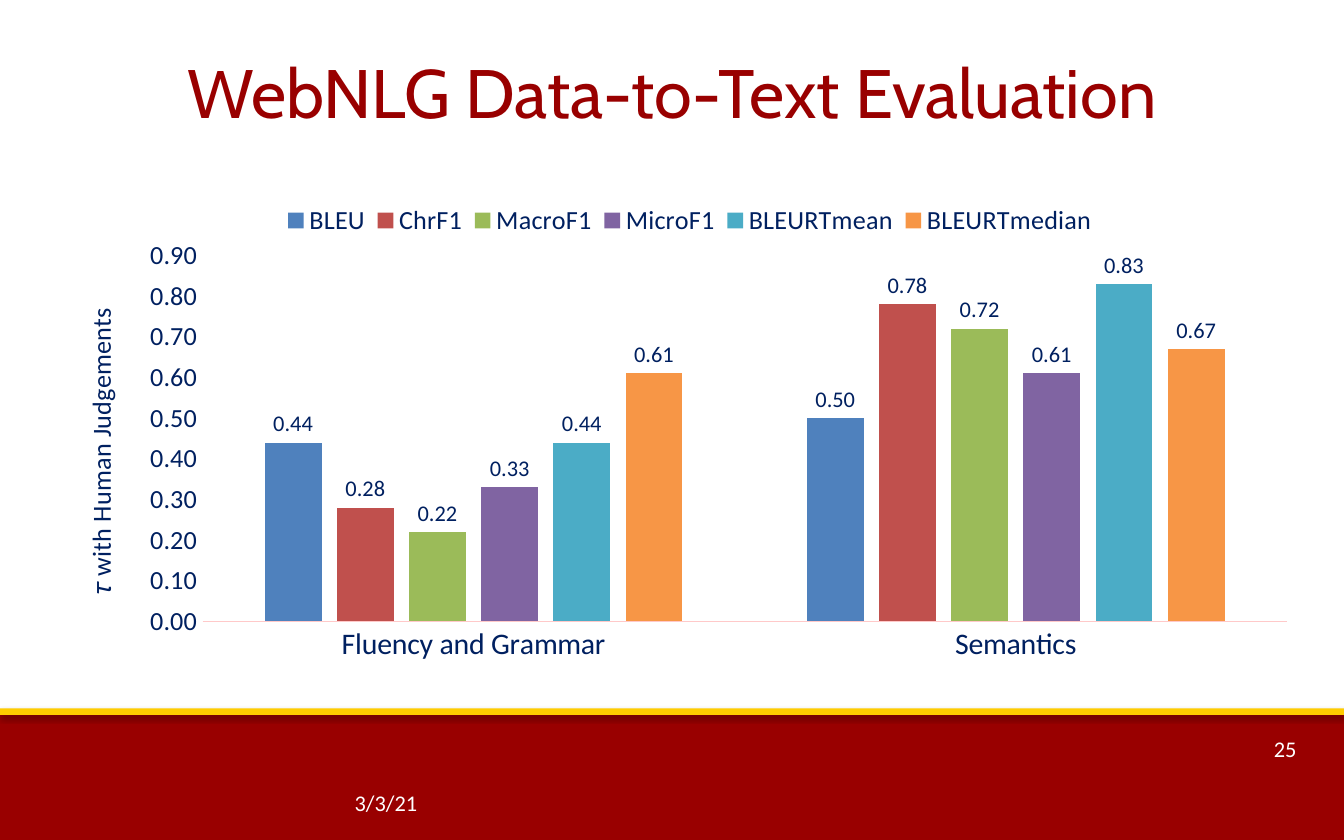
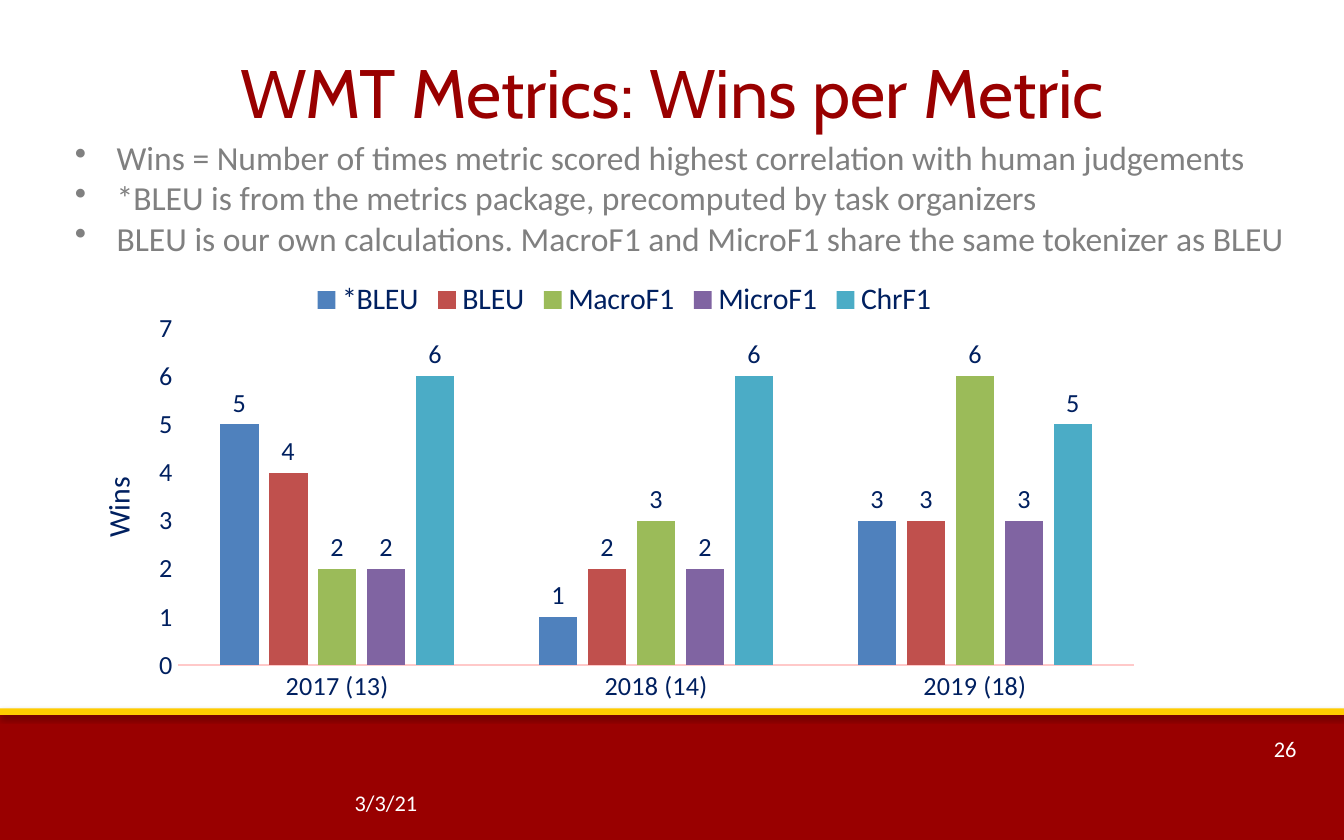
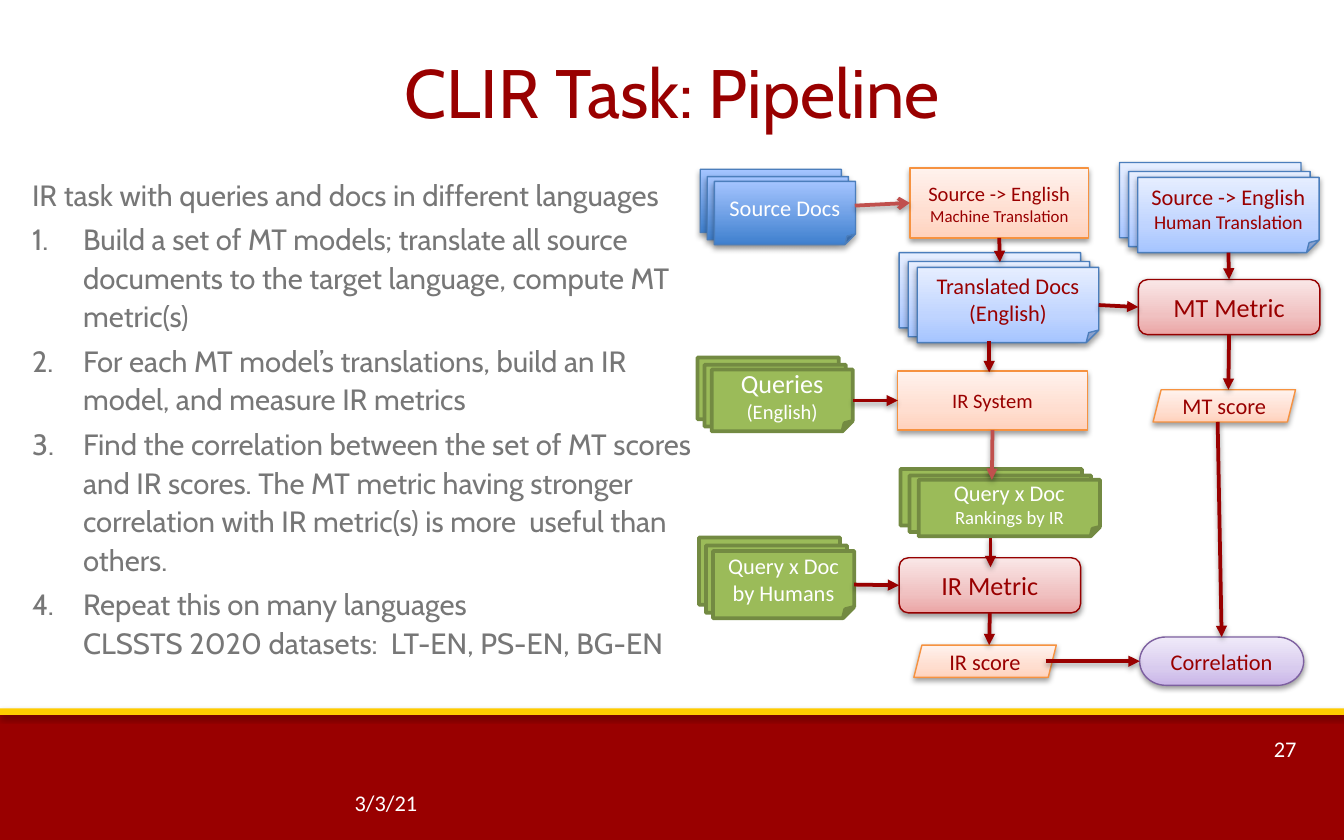
import dataclasses

import lxml.etree
import pptx
import pptx.chart.data
import pptx.dml.color
import pptx.enum.chart
import pptx.enum.shapes
import pptx.enum.text
import pptx.oxml
import pptx.oxml.ns
import pptx.util

Inches = pptx.util.Inches
Pt = pptx.util.Pt
qn = pptx.oxml.ns.qn
SHAPE = pptx.enum.shapes.MSO_SHAPE
LEGEND = pptx.enum.chart.XL_LEGEND_POSITION
ALIGN = pptx.enum.text.PP_ALIGN
TOP, LEFT, BOTTOM, RIGHT = range(4)


# Theme
@dataclasses.dataclass(frozen=True)
class Theme:
    title_font: str = "Cabin"
    text_font: str = "Calibri"
    red: str = "990000"
    gold: str = "FFCC00"
    white: str = "FFFFFF"
    navy: str = "002060"
    gray: str = "808080"
    body_gray: str = "777777"
    axis_line: str = "FFC9C9"
    soft_red: str = "C0504D"
    series: tuple = ("4F81BD", "C0504D", "9BBB59", "8064A2", "4BACC6", "F79646")
    title_size: float = 36.7
    body_size: float = 15.7
    bullet_size: float = 18
    label_size: float = 12
    arrow_width: float = 2
    strong_shadow: tuple = (35, 1.8)  # opacity in percent, distance in points
    soft_shadow: tuple = (38, 1.6)


@dataclasses.dataclass(frozen=True)
class BoxStyle:
    fill: tuple  # (position in percent, colour) stops, from the bottom up
    line: str
    text: str = Theme.red
    line_width: float = 0.75
    shadow: tuple = Theme.soft_shadow


SOURCE = BoxStyle(((0, "3F80CE"), (100, "A4C4FF")), "4B7EBC", Theme.white, shadow=Theme.strong_shadow)
TRANSLATION = BoxStyle(((0, "A4C4FF"), (35, "BFD4FF"), (100, "E6EEFF")), "4B7EBC")
QUERY = BoxStyle(((0, "9BBB59"),), "738A42", Theme.white, 2, None)
SYSTEM = BoxStyle(((0, "FFD2BD"), (35, "FFDED0"), (100, "FFF2ED")), "F69240")
METRIC = BoxStyle(((0, "EBA5A5"), (35, "F0C1C1"), (100, "FAE7E7")), "960000")
RESULT = BoxStyle(((0, "C9B5E8"), (35, "D8CBEE"), (100, "F0EAF9")), "7D60A0")


def rgb(color):
    return pptx.dml.color.RGBColor.from_string(color)


def add_xml(parent, tag, **attributes):
    child = lxml.etree.SubElement(parent, qn(tag))
    for name, value in attributes.items():
        child.set(name, str(value))
    return child


def manual_layout(x, y, width, height, inner=False):
    layout = pptx.oxml.parse_xml(f'<c:layout {pptx.oxml.ns.nsdecls("c")}/>')
    manual = add_xml(layout, "c:manualLayout")
    if inner:
        add_xml(manual, "c:layoutTarget", val="inner")
    for tag, value in (("xMode", "edge"), ("yMode", "edge"), ("x", x), ("y", y), ("w", width), ("h", height)):
        add_xml(manual, f"c:{tag}", val=value)
    return layout


class Deck:
    def __init__(self, theme):
        self.theme = theme
        self.presentation = pptx.Presentation()
        self.presentation.slide_width = Inches(10)
        self.presentation.slide_height = Inches(6.25)
        self.slide = None

    # Style helpers
    def set_font(self, font, size, color, name=None):
        font.size = Pt(size)
        font.name = name or self.theme.text_font
        font.bold = False
        font.color.rgb = rgb(color)

    def set_shadow(self, properties, shadow):
        effects = properties.find(qn("a:effectLst"))
        if effects is None:
            effects = add_xml(properties, "a:effectLst")
        if shadow:
            opacity, distance = shadow
            outer = add_xml(effects, "a:outerShdw", blurRad=Pt(3.1), dist=Pt(distance),
                            dir=90 * 60000, rotWithShape=0)
            color = add_xml(outer, "a:srgbClr", val="000000")
            add_xml(color, "a:alpha", val=opacity * 1000)

    def set_fill(self, fill, stops):
        if len(stops) == 1:
            fill.solid()
            fill.fore_color.rgb = rgb(stops[0][1])
            return None
        fill.gradient()
        fill.gradient_angle = 90
        return stops

    # Slide frame
    def new_slide(self, title, number):
        theme = self.theme
        self.slide = self.presentation.slides.add_slide(self.presentation.slide_layouts[6])
        self.band(5.29, 0.96, theme.red, theme.strong_shadow)
        self.band(5.27, 0.05, theme.gold, theme.soft_shadow)
        for left, top, width, text in ((9.38, 5.42, 0.4, str(number)), (2.54, 5.82, 0.68, "3/3/21")):
            self.text(left, top, width, 0.3, [text], theme.label_size, theme.white, wrap=False)
        frame = self.text(0.69, 0.31, 8.62, 0.86, [title], theme.title_size, theme.red, theme.title_font)
        frame.margin_top = Inches(0.06)
        frame.paragraphs[0].alignment = ALIGN.CENTER

    def band(self, top, height, color, shadow):
        shape = self.slide.shapes.add_shape(SHAPE.RECTANGLE, 0, Inches(top), Inches(10), Inches(height))
        shape.shadow.inherit = False
        self.set_fill(shape.fill, ((0, color),))
        shape.line.fill.background()
        self.set_shadow(shape.element.spPr, shadow)

    # Text
    def text(self, left, top, width, height, lines, size, color, name=None, wrap=True):
        box = self.slide.shapes.add_textbox(Inches(left), Inches(top), Inches(width), Inches(height))
        frame = box.text_frame
        frame.word_wrap = wrap
        for index, line in enumerate(lines):
            paragraph = frame.paragraphs[0] if index == 0 else frame.add_paragraph()
            paragraph.text = line
            self.set_font(paragraph.font, size, color, name)
        return frame

    def mark(self, paragraph, indent, tag, **attributes):
        properties = paragraph._p.get_or_add_pPr()
        properties.set("marL", str(Inches(indent)))
        properties.set("indent", str(-Inches(indent)))
        marker = pptx.oxml.parse_xml(f'<{tag} {pptx.oxml.ns.nsdecls("a")}/>')
        for name, value in attributes.items():
            marker.set(name, value)
        properties.find(qn("a:defRPr")).addprevious(marker)

    # Diagram
    def box(self, kind, left, top, width, height, style, *lines):
        shape = self.slide.shapes.add_shape(kind, Inches(left), Inches(top), Inches(width), Inches(height))
        shape.shadow.inherit = False
        stops = self.set_fill(shape.fill, style.fill)
        if stops:
            stop_list = shape.element.spPr.find(qn("a:gradFill")).find(qn("a:gsLst"))
            stop_list.clear()
            for position, color in stops:
                stop = add_xml(stop_list, "a:gs", pos=position * 1000)
                add_xml(stop, "a:srgbClr", val=color)
        shape.line.color.rgb = rgb(style.line)
        shape.line.width = Pt(style.line_width)
        self.set_shadow(shape.element.spPr, style.shadow)
        frame = shape.text_frame
        frame.word_wrap = True
        frame.margin_left = frame.margin_right = Inches(0.05)
        frame.vertical_anchor = pptx.enum.text.MSO_ANCHOR.MIDDLE
        for index, (line, size) in enumerate(lines):
            paragraph = frame.paragraphs[0] if index == 0 else frame.add_paragraph()
            paragraph.text = line
            paragraph.alignment = ALIGN.CENTER
            self.set_font(paragraph.font, size, style.text)
        return shape

    def stack(self, left, top, width, height, depth, style, *lines):
        """Three sheets, the front one lettered and returned."""
        for step, drop in enumerate((0, 0.6, 1)):
            front = self.box(SHAPE.FOLDED_CORNER, left + step * width / 20, top + drop * depth,
                             width, height, style, *(lines if step == 2 else ()))
        return front

    def arrow(self, start, end, color=None, head="triangle"):
        """Each end is a point (x, y) or a joint (shape, side)."""
        points = [(0, 0) if hasattr(place[0], "shape_id") else place for place in (start, end)]
        connector = self.slide.shapes.add_connector(
            pptx.enum.shapes.MSO_CONNECTOR.STRAIGHT,
            *(Inches(value) for point in points for value in point))
        for place, connect in ((start, connector.begin_connect), (end, connector.end_connect)):
            if hasattr(place[0], "shape_id"):
                connect(*place)
        connector.line.color.rgb = rgb(color or self.theme.red)
        connector.line.width = Pt(self.theme.arrow_width)
        properties = connector._element.spPr
        add_xml(properties.find(qn("a:ln")), "a:tailEnd", type=head)
        self.set_shadow(properties, self.theme.soft_shadow)

    # Charts
    def column_chart(self, place, categories, series, axis_title, title_size, category_size,
                     legend_size, label_size, maximum, unit, number_format, plot_area,
                     legend_position, legend_area=None):
        theme = self.theme
        data = pptx.chart.data.CategoryChartData(number_format=number_format)
        data.categories = categories
        for name, values in series.items():
            data.add_series(name, values)
        chart = self.slide.shapes.add_chart(
            pptx.enum.chart.XL_CHART_TYPE.COLUMN_CLUSTERED, *(Inches(value) for value in place), data).chart
        self.set_font(chart.font, label_size, theme.navy)
        chart.has_title = False

        plot = chart.plots[0]
        plot.vary_by_categories = False
        plot.gap_width = 219
        plot.overlap = -27
        for one_series, color in zip(plot.series, theme.series):
            one_series.format.fill.solid()
            one_series.format.fill.fore_color.rgb = rgb(color)
            labels = one_series.data_labels
            labels.show_value = True
            labels.position = pptx.enum.chart.XL_LABEL_POSITION.OUTSIDE_END
            labels.number_format = number_format
            labels.number_format_is_linked = False
            self.set_font(labels.font, label_size, theme.navy)

        for axis, size in ((chart.category_axis, category_size), (chart.value_axis, 14)):
            axis.has_major_gridlines = False
            axis.major_tick_mark = axis.minor_tick_mark = pptx.enum.chart.XL_TICK_MARK.NONE
            self.set_font(axis.tick_labels.font, size, theme.navy)
        chart.category_axis.format.line.color.rgb = rgb(theme.axis_line)
        chart.category_axis.format.line.width = Pt(0.75)
        value_axis = chart.value_axis
        value_axis.format.line.fill.background()
        value_axis.minimum_scale = 0
        value_axis.maximum_scale = maximum
        value_axis.major_unit = unit
        value_axis.tick_labels.number_format = number_format
        value_axis.tick_labels.number_format_is_linked = False
        frame = value_axis.axis_title.text_frame
        frame.text = axis_title
        self.set_font(frame.paragraphs[0].font, title_size, theme.navy)
        body = frame._txBody.find(qn("a:bodyPr"))
        body.set("rot", "-5400000")
        body.set("vert", "horz")

        chart.has_legend = True
        chart.legend.position = legend_position
        chart.legend.include_in_layout = False
        self.set_font(chart.legend.font, legend_size, theme.navy)
        if legend_area:
            legend = chart.legend._element
            for layout in legend.findall(qn("c:layout")):
                legend.remove(layout)
            legend.find(qn("c:legendPos")).addnext(manual_layout(*legend_area))
        plot_element = chart._chartSpace.chart.plotArea
        for layout in plot_element.findall(qn("c:layout")):
            plot_element.remove(layout)
        plot_element.insert(0, manual_layout(*plot_area, inner=True))


def webnlg_slide(deck):
    deck.new_slide("WebNLG Data-to-Text Evaluation", 25)
    deck.column_chart(
        (0.51, 1.38, 9.07, 3.73), ["Fluency and Grammar", "Semantics"],
        {"BLEU": (0.44, 0.5), "ChrF1": (0.28, 0.78), "MacroF1": (0.22, 0.72),
         "MicroF1": (0.33, 0.61), "BLEURTmean": (0.44, 0.83), "BLEURTmedian": (0.61, 0.67)},
        axis_title="𝜏 with Human Judgements", title_size=14, category_size=16, legend_size=14,
        label_size=12, maximum=0.9, unit=0.1, number_format="0.00",
        plot_area=(0.11, 0.14, 0.89, 0.73), legend_position=LEGEND.BOTTOM,
        legend_area=(0.17, 0.03, 0.68, 0.08))


def wmt_slide(deck):
    deck.new_slide("WMT Metrics: Wins per Metric", 26)
    deck.column_chart(
        (0.69, 1.98, 7.91, 3.3), ["2017 (13)", "2018 (14)", "2019 (18)"],
        {"*BLEU": (5, 1, 3), "BLEU": (4, 2, 3), "MacroF1": (2, 3, 6),
         "MicroF1": (2, 2, 3), "ChrF1": (6, 6, 5)},
        axis_title="Wins", title_size=16, category_size=14, legend_size=16,
        label_size=14, maximum=7, unit=1, number_format="General",
        plot_area=(0.08, 0.14, 0.9, 0.76), legend_position=LEGEND.TOP)
    notes = deck.text(0.46, 0.97, 9.4, 1.01, [
        "Wins = Number of times metric scored highest correlation with human judgements",
        "*BLEU is from the metrics package, precomputed by task organizers",
        "BLEU is our own calculations. MacroF1 and MicroF1 share the same tokenizer as BLEU",
    ], deck.theme.bullet_size, deck.theme.gray)
    for paragraph in notes.paragraphs:
        deck.mark(paragraph, 0.31, "a:buChar", char="•")


def pipeline_slide(deck):
    deck.new_slide("CLIR Task: Pipeline", 27)
    soft_red = deck.theme.soft_red

    # Document stacks
    deck.stack(5.21, 1.26, 1.05, 0.47, 0.09, SOURCE, ("Source Docs", 12))
    queries = deck.stack(5.19, 2.66, 1.05, 0.46, 0.09, QUERY, ("Queries", 14), ("(English)", 11))
    human_rankings = deck.stack(5.2, 4, 1.05, 0.5, 0.1, QUERY, ("Query x Doc", 12), ("by Humans", 12))
    translated = deck.stack(6.69, 1.88, 1.35, 0.56, 0.11, TRANSLATION,
                            ("Translated Docs", 12), ("(English)", 12))
    human_translation = deck.stack(8.33, 1.21, 1.35, 0.56, 0.11, TRANSLATION,
                                   ("Source -> English", 12), ("Human Translation", 10.5))
    deck.stack(6.7, 3.49, 1.35, 0.42, 0.08, QUERY, ("Query x Doc", 12), ("Rankings by IR", 10))

    # Systems, metrics and scores
    translator = deck.box(SHAPE.RECTANGLE, 6.77, 1.25, 1.33, 0.52, SYSTEM,
                          ("Source -> English", 11), ("Machine Translation", 9))
    ir_system = deck.box(SHAPE.RECTANGLE, 6.68, 2.76, 1.41, 0.44, SYSTEM, ("IR System", 11))
    ir_metric, mt_metric = (
        deck.box(SHAPE.FLOWCHART_ALTERNATE_PROCESS, left, top, 1.35, 0.41, METRIC, (label, 14))
        for left, top, label in ((6.69, 4.15, "IR Metric"), (8.47, 2.08, "MT Metric")))
    for left, top, label in ((6.8, 4.8, "IR score"), (8.58, 2.9, "MT score")):
        deck.box(SHAPE.PARALLELOGRAM, left, top, 1.06, 0.24, SYSTEM, (label, 12))
    correlation = deck.box(SHAPE.FLOWCHART_TERMINATOR, 8.48, 4.74, 1.22, 0.36, RESULT, ("Correlation", 12))

    # Flow
    deck.arrow((6.36, 1.53), (translator, LEFT), soft_red, "arrow")
    deck.arrow((ir_system, BOTTOM), (7.38, 3.57), soft_red)
    for start, end in (
        ((translator, BOTTOM), (7.44, 1.95)),
        ((7.36, 2.54), (7.36, 2.77)),
        ((7.37, 4), (7.37, 4.22)),
        ((queries, RIGHT), (ir_system, LEFT)),
        ((human_rankings, RIGHT), (ir_metric, LEFT)),
        ((human_translation, BOTTOM), (mt_metric, TOP)),
        ((translated, RIGHT), (mt_metric, LEFT)),
        ((mt_metric, BOTTOM), (9.14, 2.9)),
        ((ir_metric, BOTTOM), (7.36, 4.8)),
        ((9.06, 3.14), (correlation, TOP)),
        ((7.78, 4.92), (correlation, LEFT)),
    ):
        deck.arrow(start, end)

    # Steps
    steps = deck.text(0.14, 1.24, 5.14, 4.06, [
        "IR task with queries and docs in different languages",
        "Build a set of MT models; translate all source documents to the target language, "
        "compute MT metric(s)",
        "For each MT model’s translations, build an IR model, and measure IR metrics",
        "Find the correlation between the set of MT scores and IR scores. The MT metric having "
        "stronger correlation with IR metric(s) is more  useful than others.",
        "Repeat this on many languages \nCLSSTS 2020 datasets:  LT-EN, PS-EN, BG-EN",
    ], deck.theme.body_size, deck.theme.body_gray, deck.theme.title_font)
    for index, paragraph in enumerate(steps.paragraphs):
        paragraph.line_spacing = 1.1
        paragraph.space_before = Pt(3.1)
        if index:
            deck.mark(paragraph, 0.38, "a:buAutoNum", type="arabicPeriod")


def main():
    deck = Deck(Theme())
    webnlg_slide(deck)
    wmt_slide(deck)
    pipeline_slide(deck)
    deck.presentation.save("out.pptx")


if __name__ == "__main__":
    main()
